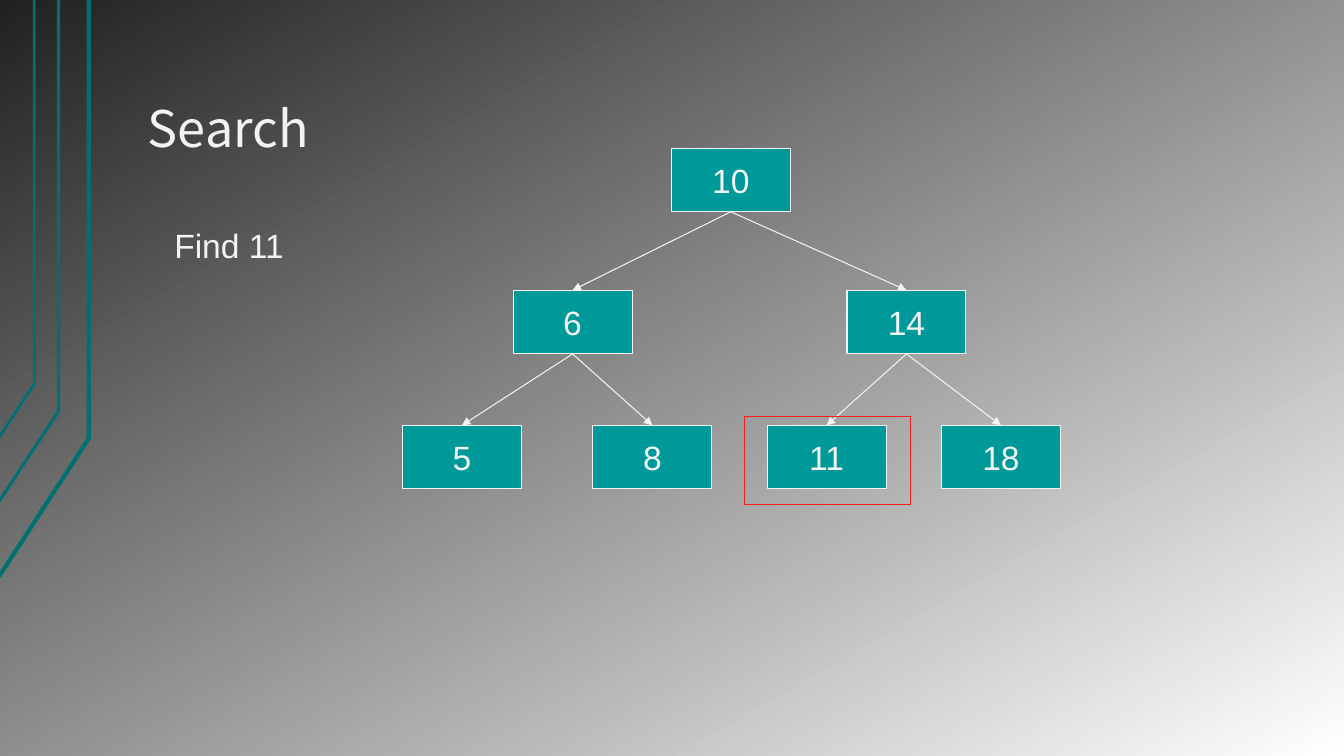
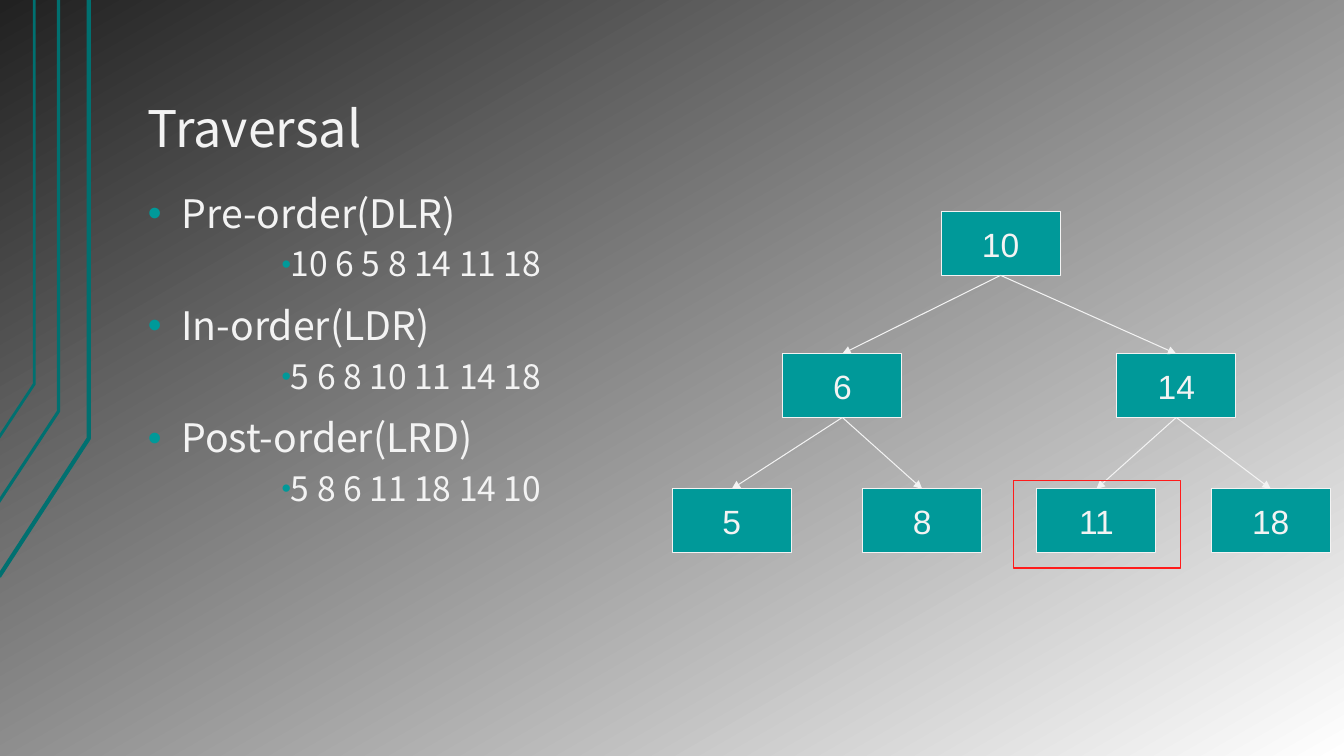
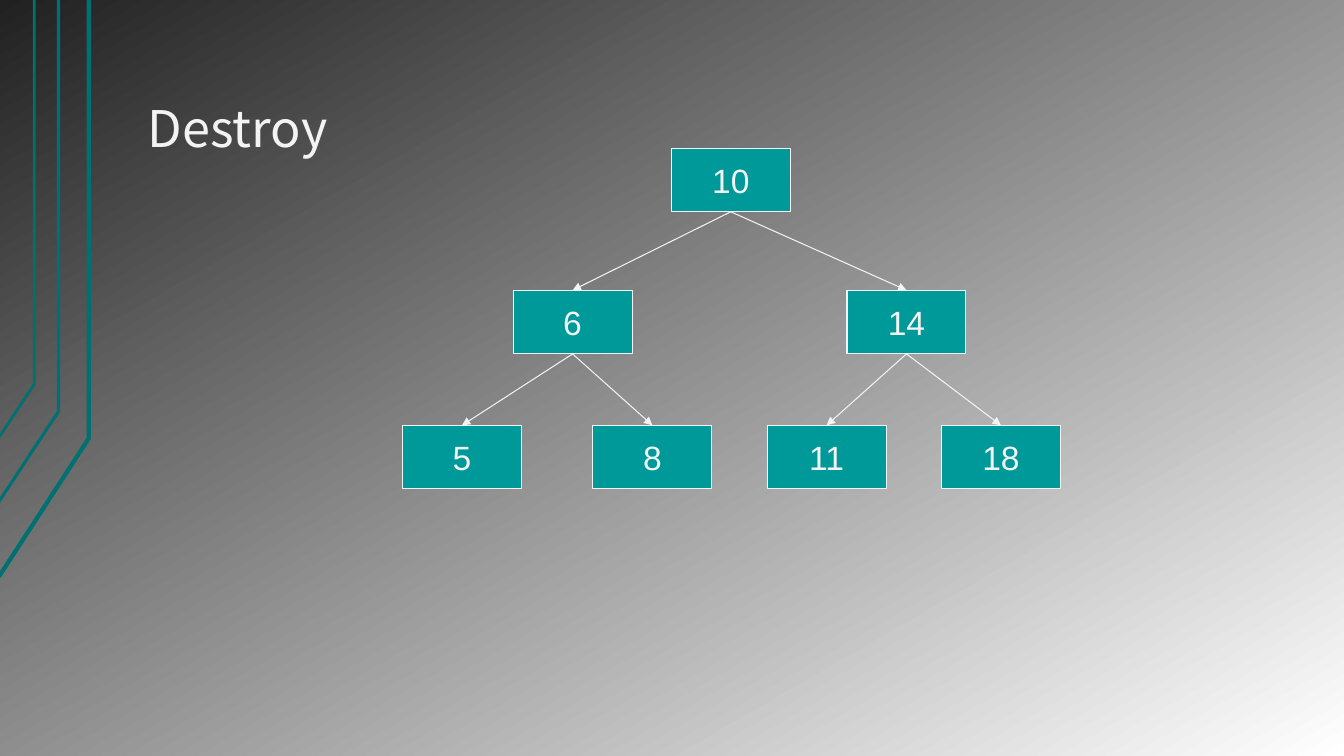
from pptx import Presentation
from pptx.dml.color import RGBColor
from pptx.enum.shapes import MSO_CONNECTOR, MSO_SHAPE
from pptx.enum.text import MSO_ANCHOR, MSO_AUTO_SIZE, PP_ALIGN
from pptx.oxml.ns import qn
from pptx.util import Pt
from lxml.etree import SubElement

COLORS = {
    "dark": "212121",
    "white": "FFFFFF",
    "text": "F3F3F3",
    "node": "009999",
    "stripe": "007070",
    "highlight": "FF1B1B",
}
HEADING_FONT = "Noto Sans CJK SC"
LABEL_FONT = "Arial"

STRIPES = [
    (3, [(-0.7, 411.8), (63.4, 313.2), (63.4, 0)]),
    (2.25, [(-1.4, 359.3), (41.8, 293.8), (41.8, 0)]),
    (2, [(-0.7, 312.5), (24.5, 274.3), (24.5, 0)]),
]

NODE_WIDTH, NODE_HEIGHT = 85, 45.5
LEVEL_TOPS = [0, 101.5, 198]
NODES = {
    "10": (192, 0),
    "6": (79, 1),
    "5": (0, 2),
    "8": (136, 2),
    "14": (317.5, 1),
    "11": (260.5, 2),
    "18": (385, 2),
}
EDGES = [("10", "6"), ("10", "14"), ("6", "5"), ("6", "8"), ("14", "11"), ("14", "18")]

TRAVERSALS = [
    ("Pre-order(DLR)", "10 6 5 8 14 11 18"),
    ("In-order(LDR)", "5 6 8 10 11 14 18"),
    ("Post-order(LRD)", "5 8 6 11 18 14 10"),
]


def color(name):
    return RGBColor.from_string(COLORS[name])


def place(shape, left, top, width, height):
    shape.left, shape.top = Pt(left), Pt(top)
    shape.width, shape.height = Pt(width), Pt(height)


def style_runs(paragraph, font, size):
    for span in paragraph.runs:
        span.font.name = font
        span.font.size = Pt(size)
        span.font.color.rgb = color("text")


def set_margins(frame, side, edge):
    frame.margin_left = frame.margin_right = Pt(side)
    frame.margin_top = frame.margin_bottom = Pt(edge)


def paint_background(master):
    fill = master.background.fill
    fill.gradient()
    fill.gradient_angle = 300
    for stop, name in zip(fill.gradient_stops, ("dark", "white")):
        stop.color.rgb = color(name)


def move_stripes_to_layout(page):
    for weight, points in STRIPES:
        start, *corners = [(Pt(x), Pt(y)) for x, y in points]
        builder = page.shapes.build_freeform(*start)
        builder.add_line_segments(corners, close=False)
        stripe = builder.convert_to_shape()
        stripe.shadow.inherit = False
        stripe.fill.background()
        stripe.line.color.rgb = color("stripe")
        stripe.line.width = Pt(weight)
        page.slide_layout.shapes.element.append(stripe.element)


def add_page(deck, layout, heading):
    page = deck.slides.add_slide(layout)
    title = page.shapes.title
    place(title, 96, 21.6, 816, 96.5)
    frame = title.text_frame
    frame.text = heading
    frame.word_wrap = True
    frame.auto_size = MSO_AUTO_SIZE.NONE
    frame.vertical_anchor = MSO_ANCHOR.BOTTOM
    set_margins(frame, 9.6, 4.8)
    paragraph = frame.paragraphs[0]
    paragraph.alignment = PP_ALIGN.LEFT
    paragraph.line_spacing = 0.9
    style_runs(paragraph, HEADING_FONT, 36)
    return page


def add_rectangle(page, left, top, width, height, line):
    box = page.shapes.add_shape(
        MSO_SHAPE.RECTANGLE, Pt(left), Pt(top), Pt(width), Pt(height))
    box.shadow.inherit = False
    box.line.color.rgb = color(line)
    box.line.width = Pt(0.75)
    return box


def add_node(page, left, top, label):
    box = add_rectangle(page, left, top, NODE_WIDTH, NODE_HEIGHT, "text")
    box.fill.solid()
    box.fill.fore_color.rgb = color("node")
    frame = box.text_frame
    frame.text = label
    frame.word_wrap = False
    frame.vertical_anchor = MSO_ANCHOR.MIDDLE
    frame.paragraphs[0].alignment = PP_ALIGN.CENTER
    style_runs(frame.paragraphs[0], LABEL_FONT, 24)
    return box


def add_arrow(page, parent, child):
    arrow = page.shapes.add_connector(MSO_CONNECTOR.STRAIGHT, 0, 0, 0, 0)
    arrow.begin_connect(parent, 2)
    arrow.end_connect(child, 0)
    arrow.line.color.rgb = color("text")
    arrow.line.width = Pt(0.75)
    properties = arrow.element.spPr
    SubElement(properties.find(qn("a:ln")), qn("a:tailEnd"), type="triangle")
    SubElement(properties, qn("a:effectLst"))


def add_tree(page, left, top, found=None):
    boxes = {
        label: add_node(page, left + offset, top + LEVEL_TOPS[level], label)
        for label, (offset, level) in NODES.items()
    }
    for parent, child in EDGES:
        add_arrow(page, boxes[parent], boxes[child])
    if found:
        offset, level = NODES[found]
        frame = add_rectangle(page, left + offset - 16.5,
                              top + LEVEL_TOPS[level] - 6, 119, 62.6, "highlight")
        frame.fill.background()


def add_caption(page, left, top, text):
    box = page.shapes.add_textbox(Pt(left), Pt(top), Pt(232.6), Pt(36))
    box.text_frame.word_wrap = True
    box.text_frame.text = text
    style_runs(box.text_frame.paragraphs[0], LABEL_FONT, 24)


def format_bullet(paragraph, level):
    size, before, margin, indent, scale = [
        (28, 16, 24, -24, 100), (24, 8, 29.5, 66, 80)][level]
    paragraph.level = level
    paragraph.line_spacing = 0.9
    paragraph.space_before = Pt(before)
    style_runs(paragraph, HEADING_FONT, size)
    properties = paragraph._p.get_or_add_pPr()
    properties.set("marL", str(Pt(margin)))
    properties.set("indent", str(Pt(indent)))
    bullet_color = SubElement(properties, qn("a:buClr"))
    SubElement(bullet_color, qn("a:srgbClr"), val=COLORS["node"])
    SubElement(properties, qn("a:buSzPct"), val=str(scale * 1000))
    SubElement(properties, qn("a:buFont"), typeface="Arial")
    SubElement(properties, qn("a:buChar"), char="•")


def add_traversals(page, left, top, width, height):
    box = page.shapes.add_textbox(Pt(left), Pt(top), Pt(width), Pt(height))
    frame = box.text_frame
    frame.word_wrap = True
    set_margins(frame, 9.6, 4.8)
    frame.text = "\n".join(line for pair in TRAVERSALS for line in pair)
    for index, paragraph in enumerate(frame.paragraphs):
        format_bullet(paragraph, index % 2)


def main():
    deck = Presentation()
    deck.slide_width, deck.slide_height = Pt(960), Pt(540)
    layout = deck.slide_layouts.get_by_name("Title Only")
    paint_background(deck.slide_master)

    search = add_page(deck, layout, "Search")
    move_stripes_to_layout(search)
    add_tree(search, 287.5, 105.8, found="11")
    add_caption(search, 117.4, 157, "Find 11")

    traversal = add_page(deck, layout, "Traversal")
    add_traversals(traversal, 96, 134, 816, 351.4)
    add_tree(traversal, 480.2, 151.2, found="11")

    destroy = add_page(deck, layout, "Destroy")
    add_tree(destroy, 287.5, 105.8)

    deck.save("out.pptx")


if __name__ == "__main__":
    main()
